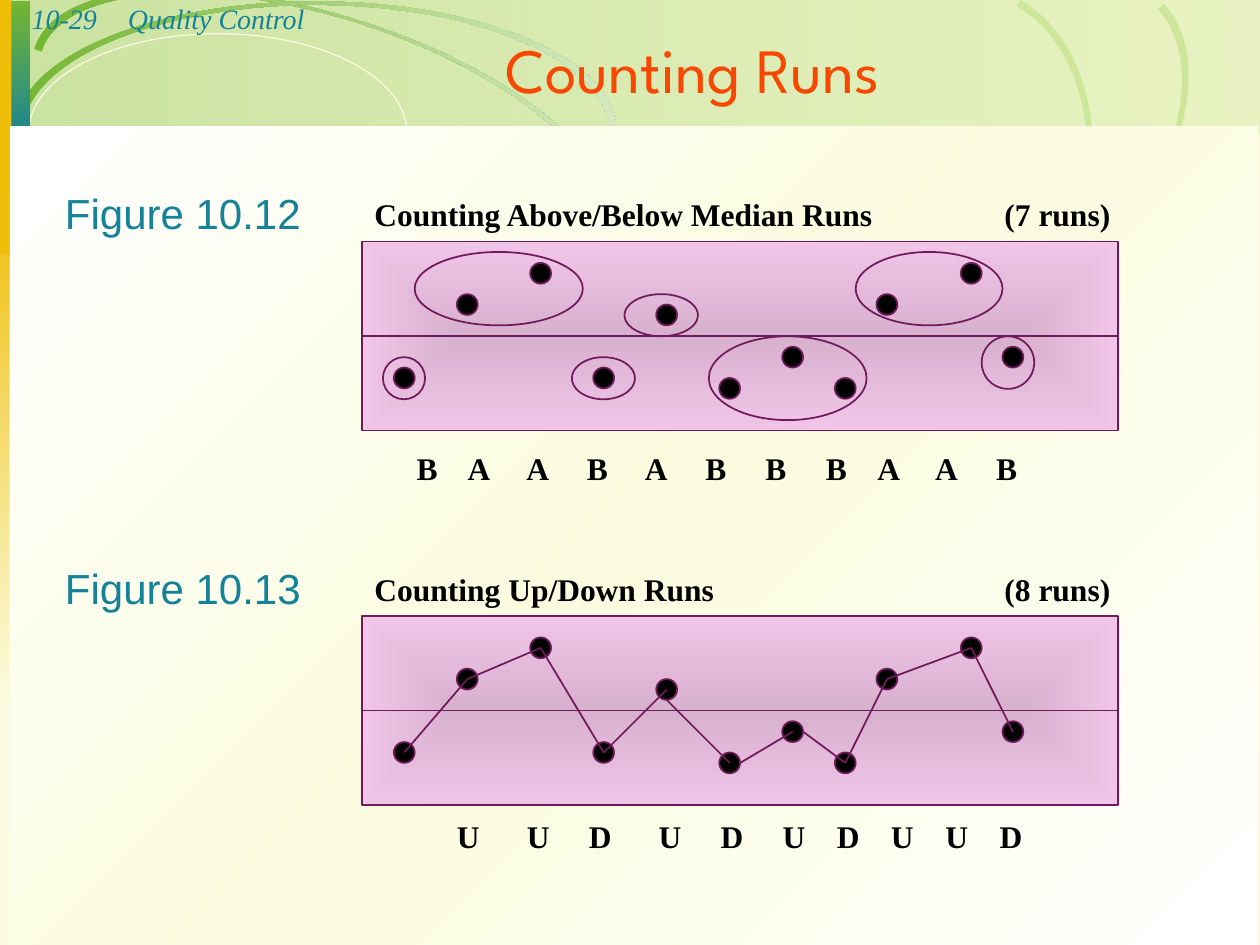
from pptx import Presentation
from pptx.dml.color import RGBColor
from pptx.enum.shapes import MSO_CONNECTOR, MSO_SHAPE
from pptx.enum.text import MSO_ANCHOR, PP_ALIGN
from pptx.oxml import parse_xml
from pptx.oxml.ns import nsdecls, qn
from pptx.oxml.xmlchemy import OxmlElement
from pptx.util import Cm, Pt

RECT, OVAL = MSO_SHAPE.RECTANGLE, MSO_SHAPE.OVAL
LINE = MSO_CONNECTOR.STRAIGHT
LEFT, CENTER = PP_ALIGN.LEFT, PP_ALIGN.CENTER
TOP, BOTTOM = MSO_ANCHOR.TOP, MSO_ANCHOR.BOTTOM

CREAM = RGBColor(0xFB, 0xFC, 0xDF)
WHITE = RGBColor(0xFF, 0xFF, 0xFF)
BLACK = RGBColor(0, 0, 0)
GREEN = RGBColor(0x74, 0xB6, 0x32)
LIME = RGBColor(0xBC, 0xDD, 0x7B)
PALE = RGBColor(0xD5, 0xE9, 0xC1)
LEAF = RGBColor(0xCD, 0xE6, 0x9A)
TEAL = RGBColor(0x14, 0x82, 0x98)
GOLD = RGBColor(0xEF, 0xBE, 0x09)
ORANGE = RGBColor(0xF8, 0x47, 0x00)
PLUM = RGBColor(0x70, 0x1A, 0x5C)
MAUVE = RGBColor(0xD8, 0xB1, 0xCF)
PINK = RGBColor(0xF1, 0xC5, 0xE7)

SERIF, SANS, HEAD = "Times New Roman", "Arial", "League Spartan"
DOT, INSET = 0.42, 0.25

# Each swoosh: outer start, two curves, inner start, two curves back
WIDE = [(0.84, 1.04), (1.24, -0.25), (4.09, -0.51), (7.21, 0.46),
        (10.31, 1.45), (12.5, 3.28), (12.09, 4.57),
        (12.24, 4.62), (12.67, 3.3), (10.41, 1.4), (7.21, 0.41),
        (4.04, -0.61), (1.09, -0.36), (0.69, 0.99)]
FAR = [(14.55, 8.05), (15.72, 9.35), (18.64, 8.66), (21.08, 6.5),
       (23.5, 4.32), (24.51, 1.5), (23.34, 0.18),
       (23.47, 0.08), (24.66, 1.42), (23.62, 4.34), (21.13, 6.58),
       (18.64, 8.79), (15.65, 9.5), (14.43, 8.15)]
NEAR = [(14.48, 10.26), (16.28, 11.33), (19.08, 9.93), (20.75, 7.14),
        (22.4, 4.34), (22.3, 1.19), (20.5, 0.13),
        (20.57, 0), (22.43, 1.09), (22.53, 4.32), (20.83, 7.19),
        (19.13, 10.06), (16.23, 11.51), (14.4, 10.41)]
ARCH = [(0.48, 2.64), (0.48, 1.24), (3.12, 0.1), (6.38, 0.1),
        (9.63, 0.1), (12.27, 1.24), (12.27, 2.64),
        (12.42, 2.64), (12.42, 1.19), (9.73, 0.03), (6.38, 0.03),
        (3.02, 0.03), (0.3, 1.19), (0.3, 2.64)]

# Offsets from the top left corner of a panel
DOTS = [(0.85, 2.75), (2.12, 1.27), (3.6, 0.64), (4.87, 2.75),
        (6.14, 1.48), (7.41, 2.96), (8.68, 2.33), (9.74, 2.96),
        (10.58, 1.27), (12.28, 0.64), (13.12, 2.33)]
RINGS = [(0.42, 2.33, 0.85, 0.85), (1.06, 0.21, 3.39, 1.48),
         (4.23, 2.33, 1.27, 0.85), (5.29, 1.06, 1.48, 0.85),
         (6.99, 1.91, 3.18, 1.69), (9.95, 0.21, 2.96, 1.48),
         (12.49, 1.91, 1.06, 1.06)]
# Lines that leave from the rim of their first dot
NUDGE = {4: (0, 0.21), 5: (0.21, 0), 6: (0.21, 0)}


def write(frame, text, font=SERIF, size=18, color=BLACK, bold=False,
          italic=False, align=LEFT, tabs=()):
    para = frame.paragraphs[0]
    para.text = text
    para.alignment = align
    if tabs:
        stops = OxmlElement("a:tabLst")
        for pos in tabs:
            stop = OxmlElement("a:tab")
            stop.set("pos", str(Cm(pos)))
            stop.set("algn", "l")
            stops.append(stop)
        para._p.get_or_add_pPr().append(stops)
    face = para.runs[0].font
    face.name, face.size, face.color.rgb = font, Pt(size), color
    face.bold, face.italic = bold, italic


class Deck:
    def __init__(self):
        self.prs = Presentation()
        self.prs.slide_width, self.prs.slide_height = Cm(25.4), Cm(19.05)
        self.slide = self.prs.slides.add_slide(self.prs.slide_layouts[6])
        self.shapes = self.slide.shapes
        back = self.slide.background.fill
        back.solid()
        back.fore_color.rgb = CREAM

    def paint(self, shape, fill=None, line=None, width=1):
        shape.shadow.inherit = False
        if fill is None:
            shape.fill.background()
        else:
            shape.fill.solid()
            shape.fill.fore_color.rgb = fill
        if line is None:
            shape.line.fill.background()
        else:
            shape.line.color.rgb = line
            shape.line.width = Pt(width)
        return shape

    def blend(self, shape, *colors, angle=0, alphas=None, center=False):
        """Spread the colours evenly, along an angle or from the centre."""
        alphas = alphas or [100] * len(colors)
        stops = "".join(
            f'<a:gs pos="{100000 * i // (len(colors) - 1)}">'
            f'<a:srgbClr val="{c}"><a:alpha val="{a * 1000}"/></a:srgbClr></a:gs>'
            for i, (c, a) in enumerate(zip(colors, alphas)))
        way = (f'<a:lin ang="{angle * 60000}" scaled="0"/>' if not center else
               '<a:path path="rect"><a:fillToRect l="50000" t="50000" '
               'r="50000" b="50000"/></a:path>')
        grad = parse_xml(f'<a:gradFill {nsdecls("a")} rotWithShape="1">'
                         f'<a:gsLst>{stops}</a:gsLst>{way}</a:gradFill>')
        shape.fill.background()
        props = shape._element.spPr
        props.replace(props.find(qn("a:noFill")), grad)

    def shape(self, kind, x, y, w, h, **style):
        item = self.shapes.add_shape(kind, Cm(x), Cm(y), Cm(w), Cm(h))
        return self.paint(item, **style)

    def swoosh(self, ctrl, fill=None):
        """Closed band whose long sides are two cubic curves each."""
        pts = [(Cm(x), Cm(y)) for x, y in ctrl]
        path = self.shapes.build_freeform(*pts[0])
        path.add_line_segments(pts[1:], close=True)
        item = path.convert_to_shape()
        legs = list(item._element.iter(qn("a:lnTo")))
        for first in (0, 3, 7, 10):
            curve = OxmlElement("a:cubicBezTo")
            legs[first].addprevious(curve)
            for leg in legs[first:first + 3]:
                curve.append(leg[0])
                leg.getparent().remove(leg)
        return self.paint(item, fill)

    def line(self, x1, y1, x2, y2):
        item = self.shapes.add_connector(LINE, Cm(x1), Cm(y1), Cm(x2), Cm(y2))
        item.line.color.rgb = PLUM
        item.line.width = Pt(1)
        item._element.spPr.append(OxmlElement("a:effectLst"))
        return item

    def text(self, text, x, y, w, h, anchor=TOP, inset=INSET, **style):
        frame = self.shapes.add_textbox(Cm(x), Cm(y), Cm(w), Cm(h)).text_frame
        frame.word_wrap = True
        frame.vertical_anchor = anchor
        frame.margin_left = Cm(inset)
        write(frame, text, **style)

    def panel(self, x, y, name, title, count):
        w, h = 15.24, 3.81
        box = self.shape(RECT, x, y, w, h, line=PLUM)
        self.blend(box, MAUVE, PINK, center=True)
        mid = self.line(x, y + h / 2, x + w, y + h / 2)
        mid.begin_connect(box, 1)
        mid.end_connect(box, 3)
        for dx, dy in DOTS:
            self.shape(OVAL, x + dx - DOT / 2, y + dy - DOT / 2, DOT, DOT,
                       fill=BLACK, line=PLUM)
        self.text(f"{title}\t{count}", x, y - 1.06, 15.34, 1.02, bold=True,
                  tabs=[12.7])
        self.text(name, 1.06, y - 1.21, 5.26, 1.27, font=SANS, size=24,
                  color=TEAL)


def main():
    deck = Deck()

    # Header band and swooshes
    deck.blend(deck.shape(RECT, 0.03, 0, 25.37, 2.69), GREEN, LIME,
               alphas=[36, 29])
    deck.blend(deck.swoosh(WIDE), GREEN, PALE)
    deck.shape(OVAL, 0.58, 0.68, 7.62, 3.96, line=CREAM, width=0.75)
    deck.blend(deck.shape(RECT, 0, 3.94, 0.56, 10.19), GOLD, CREAM, angle=90)
    deck.swoosh(FAR, LEAF)
    deck.swoosh(NEAR, LEAF)
    deck.blend(deck.swoosh(ARCH), GREEN, PALE)

    # Left edge and body
    deck.blend(deck.shape(RECT, 0.03, 0.03, 0.58, 2.9), GREEN, TEAL, angle=90)
    deck.shape(RECT, 0, 0, 0.23, 5.13, fill=GOLD)
    deck.blend(deck.shape(RECT, 0.2, 2.55, 25.15, 16.5), WHITE, CREAM, WHITE,
               angle=45)

    # Page mark and title
    mark = dict(size=16, color=TEAL, italic=True)
    deck.text("10-29", 0.1, -0.1, 2.31, 0.94, inset=0.54, **mark)
    deck.text("Quality Control", 2.33, -0.1, 21.79, 0.94, **mark)
    deck.text("Counting Runs", 0, 0.94, 25.4, 1.32, anchor=BOTTOM, inset=2.79,
              font=HEAD, size=36, color=ORANGE, align=CENTER)

    # Above and below the median
    x, y = 7.3, 4.87
    deck.panel(x, y, "Figure 10.12", "Counting Above/Below Median Runs",
               "(7 runs)")
    for dx, dy, w, h in RINGS:
        deck.shape(OVAL, x + dx, y + dy, w, h, line=PLUM)
    deck.text("\t".join("BAABABBBAAB"), 8.15, 8.93, 12.95, 1.02, bold=True,
              tabs=[1.03, 2.21, 3.43, 4.6, 5.82, 7.03, 8.25, 9.29, 10.45, 11.68])

    # Up and down
    y = 12.42
    deck.panel(x, y, "Figure 10.13", "Counting Up/Down Runs", "(8 runs)")
    for i, ((ax, ay), (bx, by)) in enumerate(zip(DOTS, DOTS[1:])):
        nx, ny = NUDGE.get(i, (0, 0))
        deck.line(x + ax + nx, y + ay + ny, x + bx, y + by)
    deck.text("\t".join("UUDUDUDUUD"), 8.96, 16.34, 11.91, 1.02, bold=True,
              tabs=[1.41, 2.66, 4.07, 5.32, 6.57, 7.66, 8.75, 9.85, 10.94])

    deck.prs.save("out.pptx")


if __name__ == "__main__":
    main()
